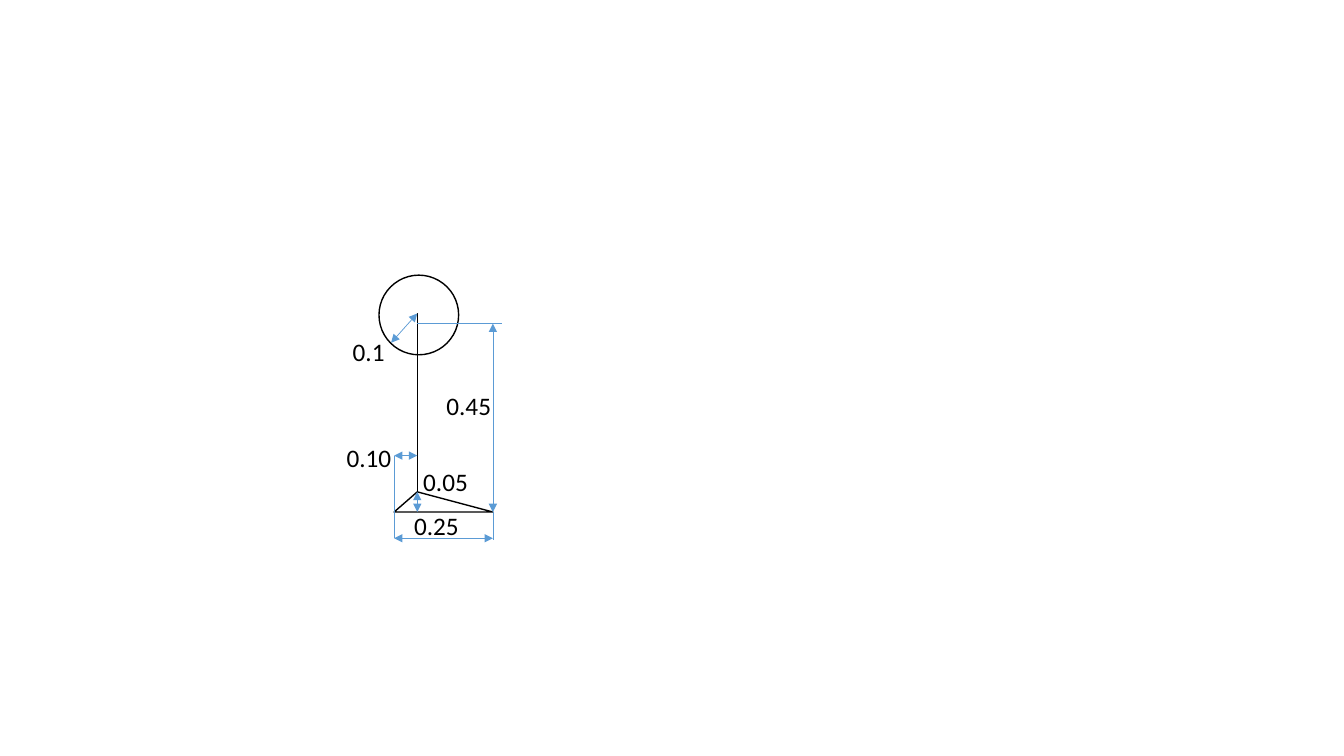
"""Builds a slide with a dimensioned sketch of a mast on a triangular base."""
from lxml.etree import SubElement
from pptx import Presentation
from pptx.dml.color import RGBColor
from pptx.enum.shapes import MSO_CONNECTOR as Connector, MSO_SHAPE as Shape
from pptx.enum.text import MSO_AUTO_SIZE as AutoSize
from pptx.oxml.ns import qn
from pptx.util import Pt

PX = 9144
COLORS = {"outline": "000000", "dimension": "5B9BD5", "text": "000000"}
LEFT, MAST, RIGHT = 391, 414, 489
MAST_TOP, HEIGHT_TOP, APEX, BASE = 311, 321, 488, 508
OFFSET_Y, WIDTH_Y = 452, 534

presentation = Presentation()
presentation.slide_width = 12192000
presentation.slide_height = 750 * PX
slide = presentation.slides.add_slide(presentation.slide_layouts[6])


def add_outline(kind, left, top, width, height):
    shape = slide.shapes.add_shape(kind, left * PX, top * PX, width * PX, height * PX)
    shape.shadow.inherit = False
    shape.fill.background()
    shape.line.color.rgb = RGBColor.from_string(COLORS["outline"])
    shape.line.width = Pt(1)
    return shape


def add_line(start, end, color="dimension", width=0.5, arrows=False):
    connector = slide.shapes.add_connector(
        Connector.STRAIGHT, *(value * PX for value in (*start, *end)))
    connector.line.color.rgb = RGBColor.from_string(COLORS[color])
    connector.line.width = Pt(width)
    properties = connector._element.spPr
    SubElement(properties, qn("a:effectLst"))
    if arrows:
        line = properties.find(qn("a:ln"))
        for tag in ("a:headEnd", "a:tailEnd"):
            SubElement(line, qn(tag), type="triangle")


base = add_outline(Shape.ISOSCELES_TRIANGLE, LEFT, APEX, RIGHT - LEFT, BASE - APEX)
base.adjustments[0] = (MAST - LEFT) / (RIGHT - LEFT)
add_outline(Shape.OVAL, 376, 273, 79, 79)
add_line((MAST, APEX), (MAST, MAST_TOP), "outline", 1)

extension_lines = [
    ((LEFT, OFFSET_Y), (LEFT, WIDTH_Y)),
    ((RIGHT, BASE), (RIGHT, 536)),
    ((MAST, HEIGHT_TOP), (498, HEIGHT_TOP)),
]
for start, end in extension_lines:
    add_line(start, end)

dimensions = [
    ("0.10", (LEFT, OFFSET_Y), (MAST, OFFSET_Y), (334, 434, 65)),
    ("0.25", (LEFT, WIDTH_Y), (RIGHT, WIDTH_Y), (401, 501, 65)),
    ("0.05", (MAST, APEX), (MAST, BASE), (410, 458, 65)),
    ("0.45", (RIGHT, HEIGHT_TOP), (RIGHT, BASE), (433, 382, 65)),
    ("0.1", (388, 340), (MAST, MAST_TOP), (340, 329, 52)),
]
for value, start, end, (left, top, width) in dimensions:
    add_line(start, end, arrows=True)
    label = slide.shapes.add_textbox(left * PX, top * PX, width * PX, 40 * PX)
    frame = label.text_frame
    frame.word_wrap = False
    frame.auto_size = AutoSize.SHAPE_TO_FIT_TEXT
    paragraph = frame.paragraphs[0]
    paragraph.text = value
    paragraph.font.name = "Calibri"
    paragraph.font.size = Pt(18)
    paragraph.font.color.rgb = RGBColor.from_string(COLORS["text"])

presentation.save("out.pptx")
